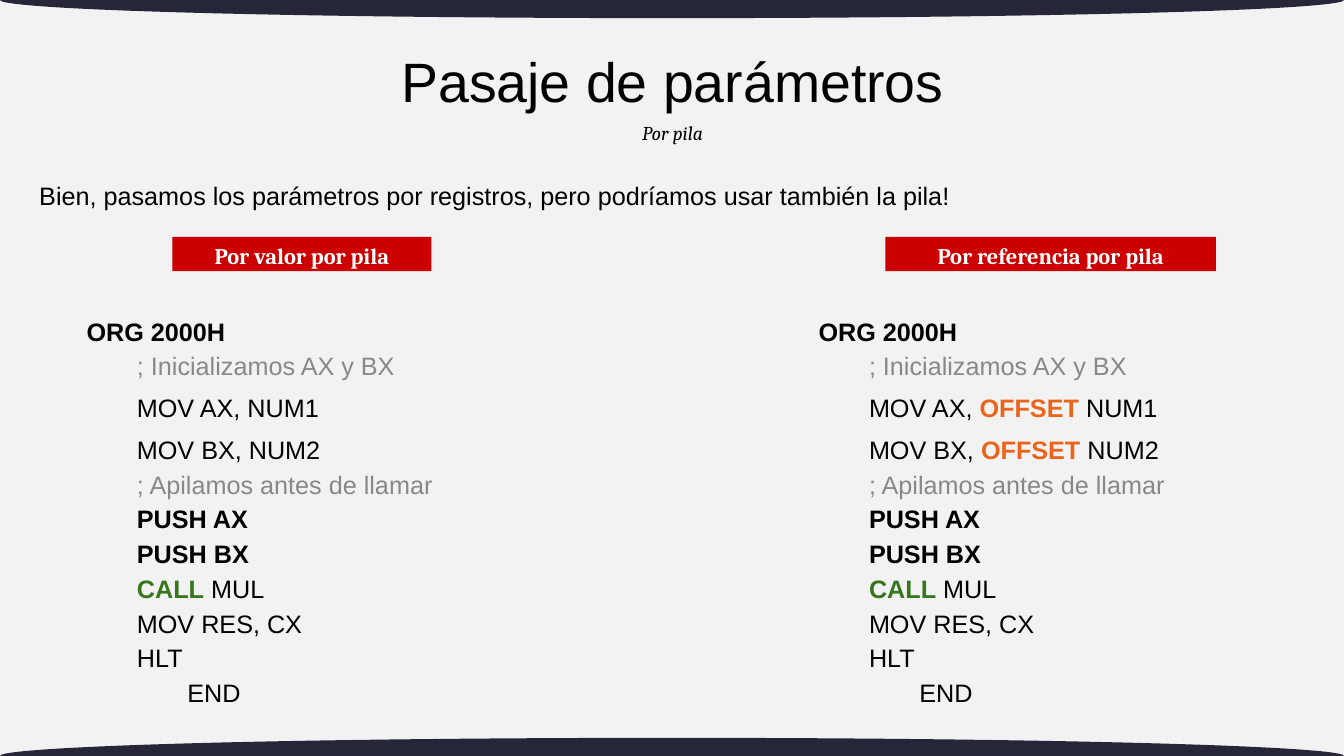
from pptx import Presentation
from pptx import util as u
from pptx.dml.color import RGBColor
from pptx.enum import shapes, text

COLORS = {
    "background": "F2F2F2", "band": "252738", "banner": "CC0000",
    "ink": "000000", "light": "FFFFFF", "comment": "888888",
    "call": "38761D", "offset": "EB641B",
}
SLIDE = (0, 0, u.Inches(13.33), u.Inches(7.5))
CENTER = text.PP_ALIGN.CENTER
MIDDLE = text.MSO_ANCHOR.MIDDLE
TAB = u.Inches(0.5)


def color(name):
    """Return the named colour."""
    return RGBColor.from_string(COLORS[name])


def within(box, left, top, width, height):
    """Return the part of a box given in percent of its size."""
    x, y, w, h = box
    return (round(x + w * left / 100), round(y + h * top / 100),
            round(w * width / 100), round(h * height / 100))


def add_filled(slide, kind, box, fill):
    """Add a plain filled shape without outline or shadow."""
    filled = slide.shapes.add_shape(kind, *box)
    filled.shadow.inherit = False
    filled.fill.solid()
    filled.fill.fore_color.rgb = color(fill)
    filled.line.fill.background()
    return filled


def write(frame, lines, size=18, font="Arial", ink="ink", bold=False, italic=False,
          align=text.PP_ALIGN.LEFT, anchor=text.MSO_ANCHOR.TOP):
    """Fill a text frame with lines of (level, spacing, [(wording, colour, bold)])."""
    frame.word_wrap = True
    frame.vertical_anchor = anchor
    for index, (level, spacing, pieces) in enumerate(lines):
        line = frame.add_paragraph() if index else frame.paragraphs[0]
        line.alignment = align
        line.line_spacing = spacing
        if level:
            line._p.get_or_add_pPr().set("marL", str(level * TAB))
        for wording, tint, heavy in pieces:
            piece = line.add_run()
            piece.text = wording
            piece.font.name = font
            piece.font.size = u.Pt(size)
            piece.font.bold = bold or heavy
            piece.font.italic = italic
            piece.font.color.rgb = color(tint or ink)


def plain(wording, level=0, spacing=1.15, tint=None, bold=False):
    """Return a line of one piece."""
    return level, spacing, [(wording, tint, bold)]


def add_bands(slide, box):
    """Add the curved bands centred on the top and bottom edges."""
    for edge in (0, 100):
        add_filled(slide, shapes.MSO_SHAPE.OVAL,
                   within(box, 0, edge - 2.4, 100, 4.8), "band")


def add_header(slide, box):
    """Add the title, subtitle and opening sentence."""
    title = slide.shapes.add_textbox(*within(box, 24.55, 0, 50.66, 51.93))
    write(title.text_frame, [plain("Pasaje de parámetros", spacing=0.9)],
          size=39.6, align=CENTER, anchor=MIDDLE)
    subtitle = slide.shapes.add_textbox(*within(box, 32.13, 43.09, 35.5, 18.78))
    write(subtitle.text_frame, [plain("Por pila", spacing=1.0)],
          size=14, font="Cambria", italic=True, align=CENTER)
    opening = slide.shapes.add_textbox(*within(box, 0, 70.72, 100, 29.28))
    write(opening.text_frame, [plain(
        "Bien, pasamos los parámetros por registros, pero podríamos usar también la pila!")],
        anchor=MIDDLE)


def program(operator):
    """Return the lines of the program, with an operator before each operand."""
    loads = [(1, 1.38, [(f"MOV {register}, ", None, False)]
              + ([(operator + " ", "offset", True)] if operator else [])
              + [(operand, None, False)])
             for register, operand in (("AX", "NUM1"), ("BX", "NUM2"))]
    return [
        plain("ORG 2000H", bold=True),
        plain("; Inicializamos AX y BX", 1, tint="comment"),
        *loads,
        plain("; Apilamos antes de llamar", 1, tint="comment"),
        plain("PUSH AX", 1, bold=True),
        plain("PUSH BX", 1, bold=True),
        (1, 1.15, [("CALL", "call", True), (" MUL", None, False)]),
        plain("MOV RES, CX", 1),
        plain("HLT", 1),
        plain("END", 2),
    ]


def add_method(slide, box, heading, banner_left, banner_width, operator):
    """Add one way of passing parameters: a banner over its program."""
    banner = add_filled(slide, shapes.MSO_SHAPE.RECTANGLE,
                        within(box, banner_left, 0, banner_width, 7.04), "banner")
    write(banner.text_frame, [plain(heading, spacing=1.0)], size=16, font="Cambria",
          ink="light", bold=True, align=CENTER)
    code = slide.shapes.add_textbox(*within(box, 0, 12.01, 100, 87.99))
    write(code.text_frame, program(operator), anchor=MIDDLE)


def main():
    """Build and save the slide."""
    deck = Presentation()
    deck.slide_width, deck.slide_height = SLIDE[2:]
    slide = deck.slides.add_slide(deck.slide_layouts[6])
    slide.background.fill.solid()
    slide.background.fill.fore_color.rgb = color("background")
    add_bands(slide, SLIDE)
    add_header(slide, within(SLIDE, 2.18, 4.93, 95.95, 24.14))
    methods = [
        (5.7, "Por valor por pila", 21.3, 57.62, ""),
        (60.17, "Por referencia por pila", 17.04, 73.54, "OFFSET"),
    ]
    for left, *method in methods:
        add_method(slide, within(SLIDE, left, 31.33, 33.46, 64.4), *method)
    deck.save("out.pptx")


main()
